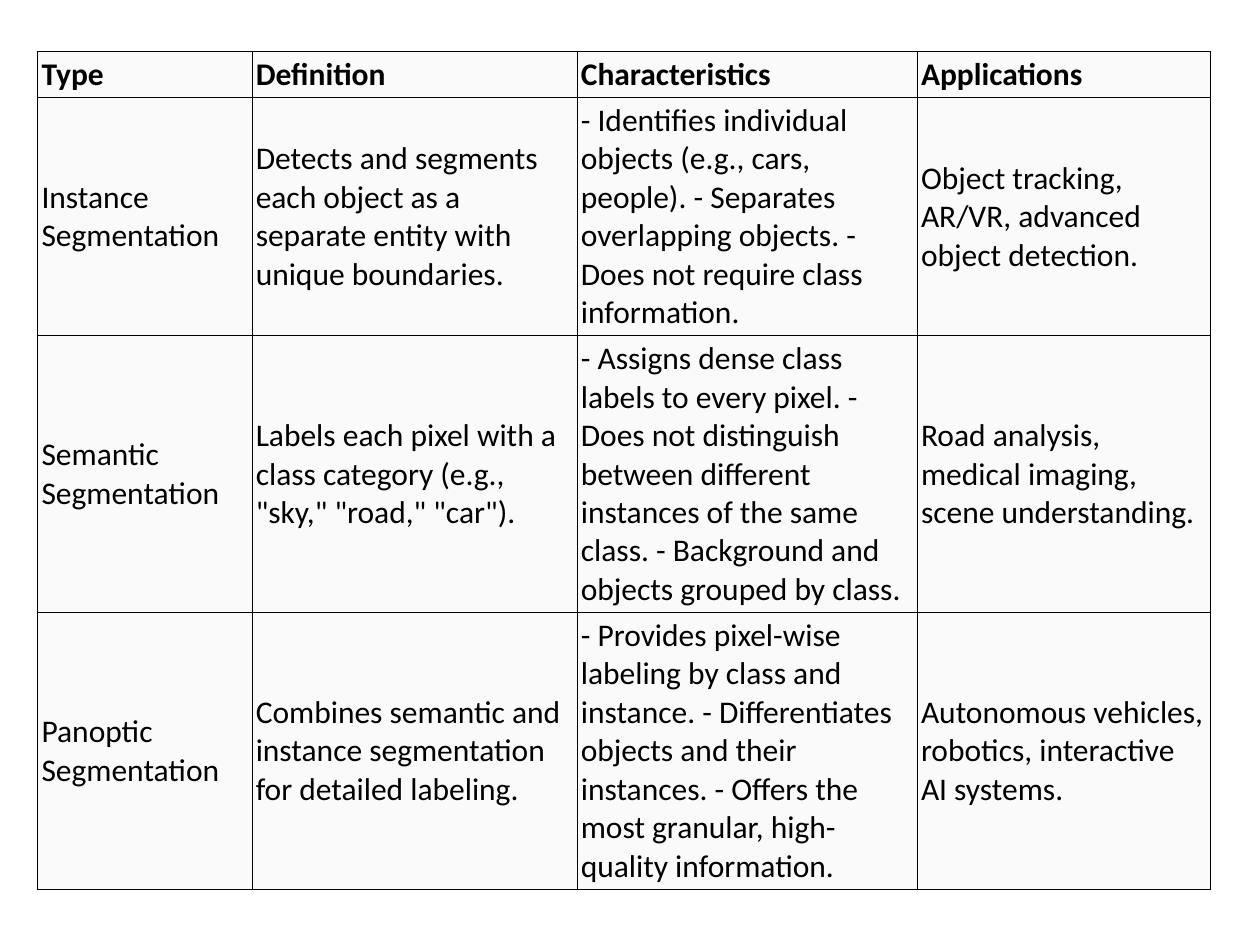
from lxml.etree import SubElement
from pptx import Presentation
from pptx.dml.color import RGBColor
from pptx.enum.text import MSO_ANCHOR as ANCHOR
from pptx.oxml.ns import qn
from pptx.util import Inches, Pt


def rgb(value):
    return RGBColor.from_string(value)


def add_borders(cell, color, width):
    tc_pr = cell._tc.get_or_add_tcPr()
    for side in ("lnL", "lnR", "lnT", "lnB"):
        ln = SubElement(tc_pr, qn(f"a:{side}"), w=str(Pt(width)))
        fill = SubElement(ln, qn("a:solidFill"))
        SubElement(fill, qn("a:srgbClr"), val=color)


# Table content
rows = [
    ("Type", "Definition", "Characteristics", "Applications"),
    ("Instance Segmentation",
     "Detects and segments each object as a separate entity with unique boundaries.",
     "- Identifies individual objects (e.g., cars, people). - Separates overlapping "
     "objects. - Does not require class information.",
     "Object tracking, AR/VR, advanced object detection."),
    ("Semantic Segmentation",
     'Labels each pixel with a class category (e.g., "sky," "road," "car").',
     "- Assigns dense class labels to every pixel. - Does not distinguish between "
     "different instances of the same class. - Background and objects grouped by class.",
     "Road analysis, medical imaging, scene understanding."),
    ("Panoptic Segmentation",
     "Combines semantic and instance segmentation for detailed labeling.",
     "- Provides pixel-wise labeling by class and instance. - Differentiates objects "
     "and their instances. - Offers the most granular, high-quality information.",
     "Autonomous vehicles, robotics, interactive AI systems."),
]
col_widths = [1.7, 2.58, 2.7, 2.33]
row_heights = [0.36, 1.88, 2.19, 2.19]

# Slide
prs = Presentation()
prs.slide_width, prs.slide_height = Inches(10), Inches(7.5)
s = prs.slides.add_slide(prs.slide_layouts[6])

# Table grid
table = s.shapes.add_table(
    len(rows), len(col_widths), Inches(0.3), Inches(0.41),
    Inches(sum(col_widths)), Inches(sum(row_heights))).table
for col, width in zip(table.columns, col_widths):
    col.width = Inches(width)
for row, height in zip(table.rows, row_heights):
    row.height = Inches(height)

# Cells
margin = Inches(0.03)
cell_format = {
    "margin_left": margin, "margin_right": margin,
    "margin_top": margin, "margin_bottom": margin,
    "vertical_anchor": ANCHOR.MIDDLE,
}
font_format = {"name": "Calibri", "size": Pt(18)}
for i, texts in enumerate(rows):
    for j, text in enumerate(texts):
        cell = table.cell(i, j)
        for name, value in cell_format.items():
            setattr(cell, name, value)
        add_borders(cell, "000000", 0.6)
        cell.fill.solid()
        cell.fill.fore_color.rgb = rgb("FAFAFA")
        r = cell.text_frame.paragraphs[0].add_run()
        r.text = text
        for name, value in font_format.items():
            setattr(r.font, name, value)
        r.font.bold = i == 0
        r.font.color.rgb = rgb("000000")

prs.save("out.pptx")
